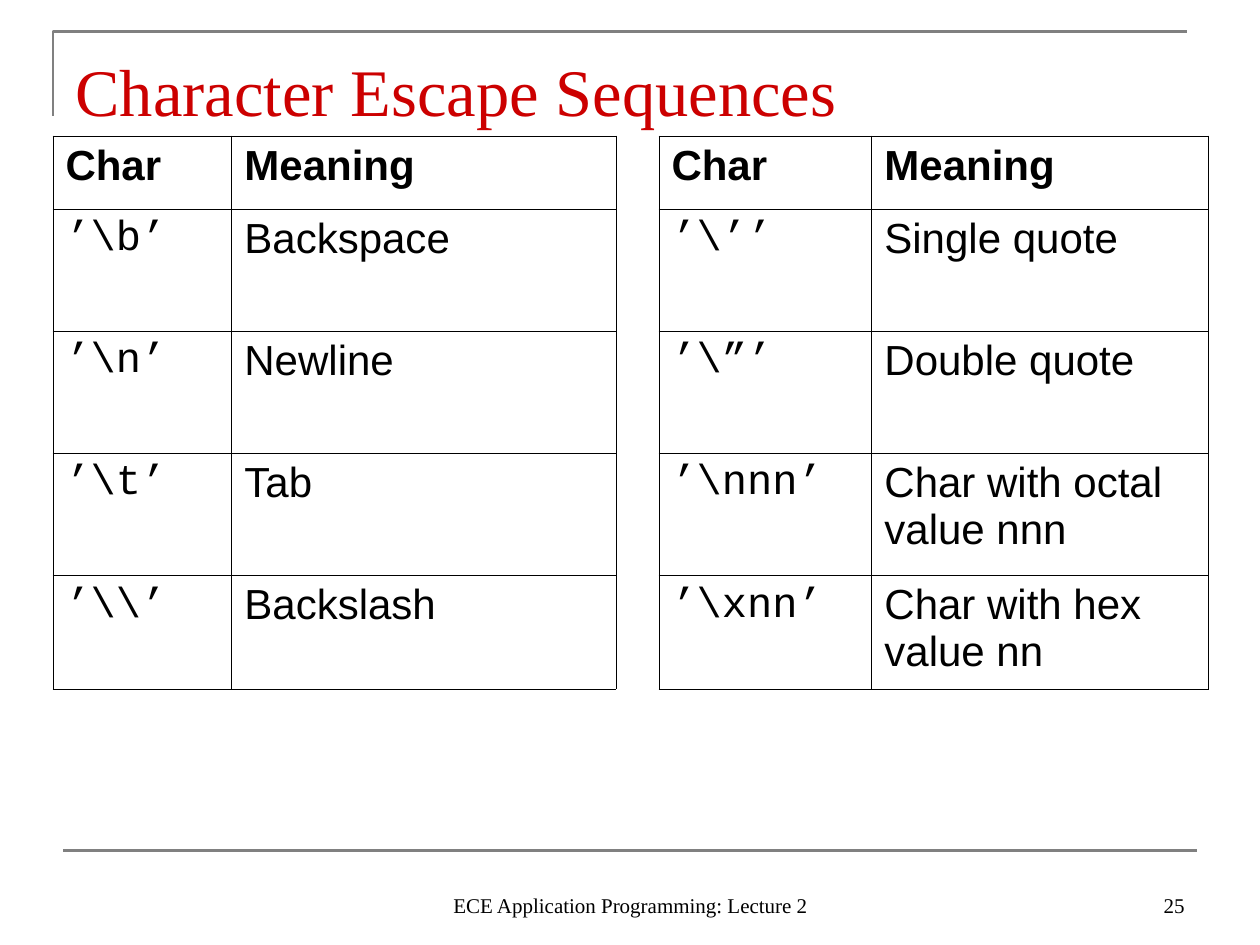
import pptx
import pptx.dml.color
import pptx.enum.shapes
import pptx.enum.text
import pptx.oxml.ns
import pptx.util
from lxml import etree

Inches = pptx.util.Inches
Pt = pptx.util.Pt
ALIGN = pptx.enum.text.PP_ALIGN
ANCHOR = pptx.enum.text.MSO_ANCHOR
qn = pptx.oxml.ns.qn

BLACK, GRAY, RED = "000000", "808080", "CC0000"
SERIF, SANS, MONO = "Times New Roman", "Arial", "Courier New"

COLUMN_WIDTHS = [1.42, 3.05, 0.34, 1.69, 2.67]
ROW_HEIGHTS = [0.58, 0.97, 0.97, 0.97, 0.9]
GAP_COLUMN = 2
CODE_COLUMNS = (0, 3)
ESCAPES = [
    ("Char", "Meaning", "", "Char", "Meaning"),
    (r"’\b’", "Backspace", "", r"’\’’", "Single quote"),
    (r"’\n’", "Newline", "", r"’\”’", "Double quote"),
    (r"’\t’", "Tab", "", r"’\nnn’", "Char with octal value nnn"),
    (r"’\\’", "Backslash", "", r"’\xnn’", "Char with hex value nn"),
]


def color(value):
    return pptx.dml.color.RGBColor.from_string(value)


def write(frame, text, size=12, font=SERIF, fill=BLACK, bold=False,
          align=ALIGN.LEFT, anchor=ANCHOR.TOP):
    frame.word_wrap = True
    frame.vertical_anchor = anchor
    paragraph = frame.paragraphs[0]
    paragraph.alignment = align
    run = paragraph.add_run()
    run.text = text
    run.font.size = Pt(size)
    run.font.name = font
    run.font.bold = bold
    run.font.color.rgb = color(fill)


def style_rule(line):
    line.color.rgb = color(GRAY)
    line.width = Pt(1.5)


def add_corner_rule(slide, left, top, right, bottom):
    builder = slide.shapes.build_freeform(Inches(left), Inches(bottom))
    builder.add_line_segments(
        [(Inches(left), Inches(top)), (Inches(right), Inches(top))], close=False)
    corner = builder.convert_to_shape()
    corner.fill.background()
    corner.shadow.inherit = False
    style_rule(corner.line)


def add_footer_rule(slide, left, right, y):
    rule = slide.shapes.add_connector(
        pptx.enum.shapes.MSO_CONNECTOR.STRAIGHT,
        Inches(left), Inches(y), Inches(right), Inches(y))
    style_rule(rule.line)
    etree.SubElement(rule.element.spPr, qn("a:effectLst"))


def add_title(slide, text):
    title = slide.shapes.title
    title.left, title.top = Inches(0.5), Inches(0.3)
    title.width, title.height = Inches(9), Inches(0.78)
    write(title.text_frame, text, size=38, fill=RED, anchor=ANCHOR.BOTTOM)


def add_footer(slide, text, left, width, align):
    footer = slide.shapes.add_textbox(
        Inches(left), Inches(6.83), Inches(width), Inches(0.5))
    write(footer.text_frame, text, align=align, anchor=ANCHOR.BOTTOM)


def set_borders(cell, sides):
    properties = cell._tc.get_or_add_tcPr()
    for side in "LRTB":
        border = etree.SubElement(properties, qn(f"a:ln{side}"), w=str(Pt(0.45)))
        if side in sides:
            paint = etree.SubElement(border, qn("a:solidFill"))
            etree.SubElement(paint, qn("a:srgbClr"), val=BLACK)
        else:
            etree.SubElement(border, qn("a:noFill"))


def add_escape_table(slide):
    table = slide.shapes.add_table(
        len(ROW_HEIGHTS), len(COLUMN_WIDTHS), Inches(0.42), Inches(1.08),
        Inches(sum(COLUMN_WIDTHS)), Inches(sum(ROW_HEIGHTS))).table
    table.first_row = table.horz_banding = False
    for column, width in zip(table.columns, COLUMN_WIDTHS):
        column.width = Inches(width)
    for row, height in zip(table.rows, ROW_HEIGHTS):
        row.height = Inches(height)
    for r, entries in enumerate(ESCAPES):
        for c, text in enumerate(entries):
            cell = table.cell(r, c)
            set_borders(cell, "LR" if c == GAP_COLUMN else "LRTB")
            cell.fill.background()
            if text:
                is_code = r > 0 and c in CODE_COLUMNS
                write(cell.text_frame, text, size=24,
                      font=MONO if is_code else SANS, bold=r == 0)


def main():
    deck = pptx.Presentation()
    deck.slide_width, deck.slide_height = Inches(10), Inches(7.5)
    slide = deck.slides.add_slide(deck.slide_layouts[5])
    add_corner_rule(slide, 0.42, 0.25, 9.42, 0.92)
    add_footer_rule(slide, 0.5, 9.5, 6.75)
    add_title(slide, "Character Escape Sequences")
    add_footer(slide, "25", 7.17, 2.33, ALIGN.RIGHT)
    add_escape_table(slide)
    add_footer(slide, "ECE Application Programming: Lecture 2", 3.42, 3.17, ALIGN.CENTER)
    deck.save("out.pptx")


if __name__ == "__main__":
    main()
